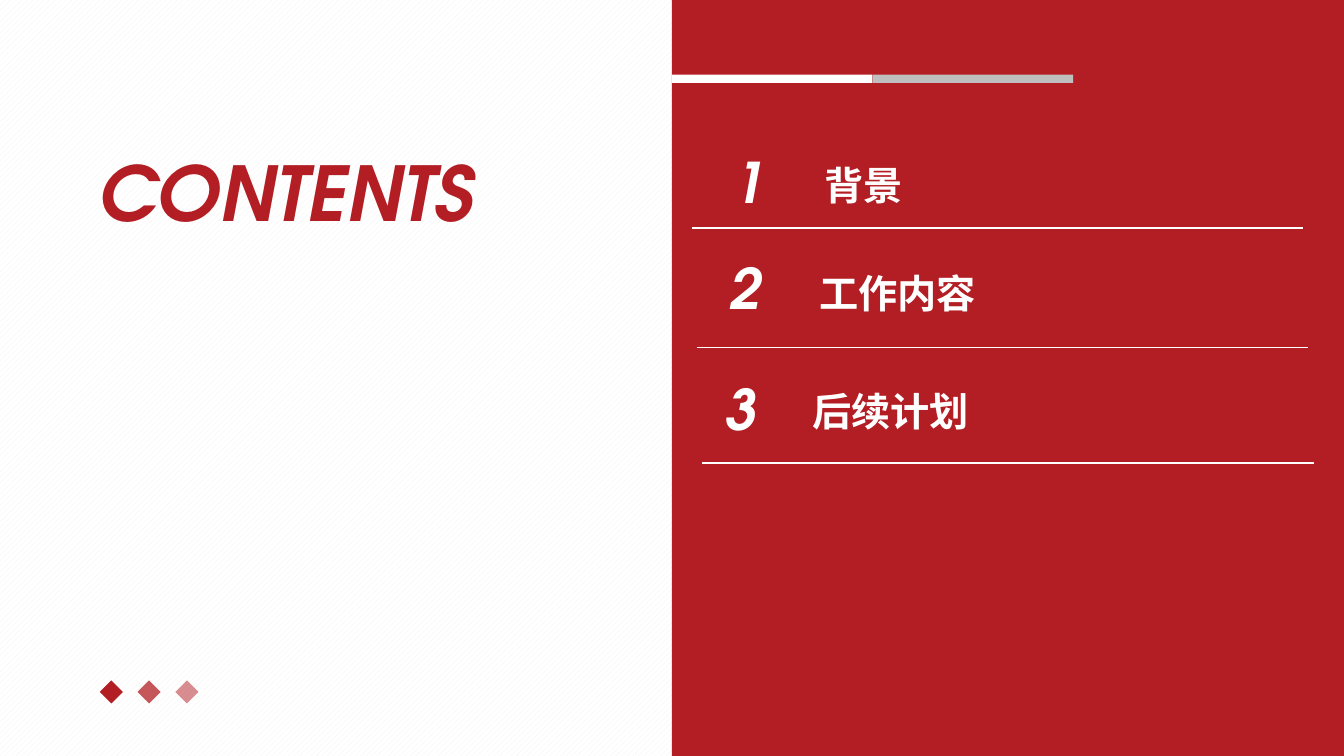
"""Build a contents slide with a red panel listing three numbered sections."""
import pptx
import pptx.util
import pptx.dml.color
import pptx.enum.dml
import pptx.enum.shapes
import pptx.enum.text
import pptx.oxml
import pptx.oxml.ns
import lxml.etree

PX = 9525
RED = pptx.dml.color.RGBColor(0xB2, 0x1E, 0x23)
WHITE = pptx.dml.color.RGBColor(0xFF, 0xFF, 0xFF)
GRAY = pptx.dml.color.RGBColor(0xBF, 0xBF, 0xBF)
PALE = pptx.dml.color.RGBColor(0xF2, 0xF2, 0xF2)
FONT = "TeX Gyre Adventor"
SHAPE = pptx.enum.shapes.MSO_SHAPE
ALIGN = pptx.enum.text.PP_ALIGN
qn = pptx.oxml.ns.qn

prs = pptx.Presentation()
prs.slide_width = 1280 * PX
prs.slide_height = 720 * PX
slide = prs.slides.add_slide(prs.slide_layouts[5])

bg = slide.background.fill
bg.patterned()
bg.pattern = pptx.enum.dml.MSO_PATTERN.WIDE_UPWARD_DIAGONAL
bg.fore_color.rgb = PALE
bg.back_color.rgb = WHITE


def put_text(text, box, size, color, italic=False, align=ALIGN.LEFT, sp=None):
    """Write bold text into a given shape or a new text box."""
    x, y, w, h = [v * PX for v in box]
    if sp is None:
        sp = slide.shapes.add_textbox(x, y, w, h)
    sp.left, sp.top, sp.width, sp.height = x, y, w, h
    tf = sp.text_frame
    tf.word_wrap = True
    tf.auto_size = pptx.enum.text.MSO_AUTO_SIZE.SHAPE_TO_FIT_TEXT
    tf.vertical_anchor = pptx.enum.text.MSO_ANCHOR.TOP
    p = tf.paragraphs[0]
    p.alignment = align
    r = p.add_run()
    r.text = text
    r.font.name = FONT
    r.font.size = pptx.util.Pt(size)
    r.font.bold = True
    r.font.italic = italic
    r.font.color.rgb = color
    lxml.etree.SubElement(r.font._element, qn("a:ea")).set("typeface", FONT)


def put_shape(kind, box, color, opacity=100):
    """Add a borderless filled shape."""
    sp = slide.shapes.add_shape(kind, *[v * PX for v in box])
    sp.shadow.inherit = False
    sp.fill.solid()
    sp.fill.fore_color.rgb = color
    sp.line.fill.background()
    if opacity < 100:
        clr = sp.fill._xPr.find(".//" + qn("a:srgbClr"))
        lxml.etree.SubElement(clr, qn("a:alpha")).set("val", str(opacity * 1000))
    return sp


put_shape(SHAPE.RECTANGLE, (640, 0, 640, 720), RED)
put_text("CONTENTS", (84, 134, 403, 97), 54, RED, italic=True, sp=slide.shapes.title)

for i, color in enumerate((WHITE, GRAY)):
    put_shape(SHAPE.RECTANGLE, (640 + 191 * i, 71, 191, 8), color)

sections = [
    ("背景", (663, 136), (776, 149), (659, 217)),
    ("工作内容", (659, 237), (771, 252), (664, 331)),
    ("后续计划", (655, 352), (764, 364), (669, 441)),
]
for number, (name, number_at, name_at, (x, y)) in enumerate(sections, 1):
    line = slide.shapes.add_connector(
        pptx.enum.shapes.MSO_CONNECTOR.STRAIGHT, x * PX, y * PX, (x + 582) * PX, y * PX)
    line.line.color.rgb = WHITE
    line.line.width = pptx.util.Pt(1)
    lxml.etree.SubElement(line._element.spPr, qn("a:effectLst"))
    put_text(str(number), (*number_at, 101, 74), 40, WHITE, italic=True, align=ALIGN.CENTER)
    put_text(name, (*name_at, 510, 55), 28, WHITE)

for i, opacity in enumerate((100, 75, 50)):
    sp = put_shape(SHAPE.DIAMOND, (95 + 36 * i, 648, 22, 22), RED, opacity)
    sp.rotation = 180

prs.save("out.pptx")
